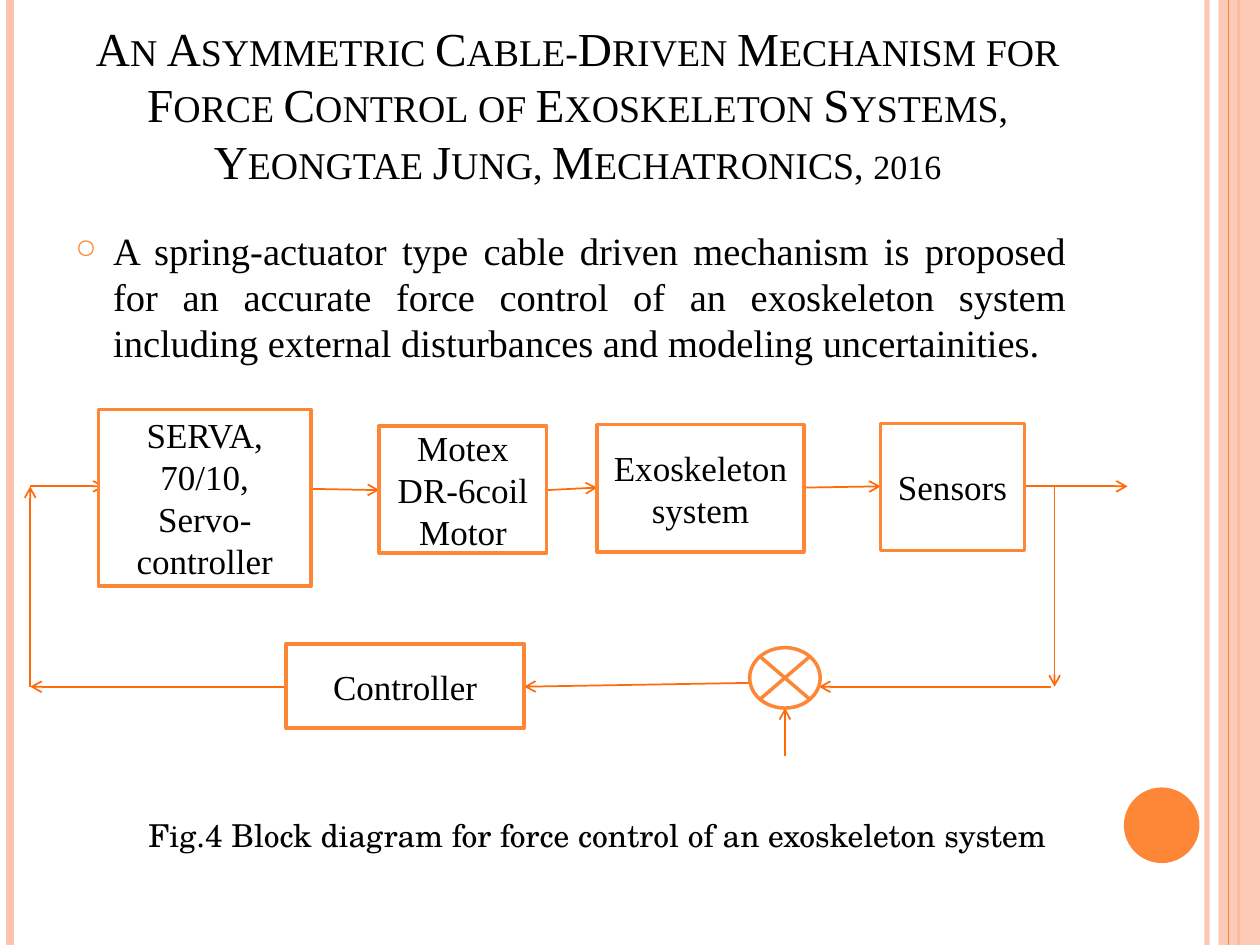
from lxml import etree
from pptx import Presentation
from pptx.dml.color import RGBColor
from pptx.enum.shapes import MSO_CONNECTOR, MSO_SHAPE
from pptx.enum.text import MSO_ANCHOR, PP_ALIGN
from pptx.oxml.ns import qn
from pptx.util import Inches, Pt

STRAIGHT = MSO_CONNECTOR.STRAIGHT
RECTANGLE, OVAL = MSO_SHAPE.RECTANGLE, MSO_SHAPE.OVAL
JUNCTION = MSO_SHAPE.FLOWCHART_SUMMING_JUNCTION
LEFT, CENTER, JUSTIFY = PP_ALIGN.LEFT, PP_ALIGN.CENTER, PP_ALIGN.JUSTIFY
TOP, MIDDLE, BOTTOM = MSO_ANCHOR.TOP, MSO_ANCHOR.MIDDLE, MSO_ANCHOR.BOTTOM

COLORS = {"accent": "FE8637", "arrow": "FF6B0A", "pale": "FEC3AE",
          "paper": "FFFFFF", "ink": "000000"}
SERIF, CAPTION_FONT = "Times New Roman", "TeX Gyre Schola"
SLIDE_WIDTH, SLIDE_HEIGHT = 10, 7.5

TITLE = ("An Asymmetric Cable-Driven Mechanism for Force Control of "
         "Exoskeleton Systems, Yeongtae Jung, Mechatronics, ")
YEAR = "2016"
SUMMARY = ("A spring-actuator type cable driven mechanism is proposed for an "
           "accurate force control of an exoskeleton system including external "
           "disturbances and modeling uncertainities.")
CAPTION = "Fig.4 Block diagram for force control of an exoskeleton system"

# x, width in points, colour, opacity in percent
STRIPES_BELOW_BAND = [(0.08, 4.5, "pale", 100), (9.58, 3, "pale", 93),
                      (9.83, 1.5, "accent", 100)]
STRIPES_ABOVE_BAND = [(9.75, 0.75, "accent", 100)]

# left, top, width, height, paragraphs
BLOCKS = [
    (0.78, 3.25, 1.69, 1.40, ["SERVA,", "70/10, Servo-controller"]),
    (3.01, 3.38, 1.33, 1.01, ["Motex", "DR-6coil Motor"]),
    (4.74, 3.37, 1.64, 1.01, ["Exoskeleton", "system"]),
    (6.99, 3.36, 1.14, 1.01, ["Sensors"]),
    (2.27, 5.11, 1.89, 0.67, ["Controller"]),
]
SUM_POINT = (5.95, 5.14, 0.56, 0.48)

FORWARD_Y, FEEDBACK_Y = 3.86, 5.45
LOOP_LEFT, LOOP_RIGHT = 0.24, 8.37
ARROWS = [  # start x, start y, end x, end y
    (LOOP_LEFT, FORWARD_Y, 0.83, FORWARD_Y),
    (2.47, 3.88, 3.01, 3.89),
    (4.34, 3.89, 4.74, 3.87),
    (6.38, 3.87, 6.99, FORWARD_Y),
    (8.14, FORWARD_Y, 8.95, FORWARD_Y),
    (LOOP_RIGHT, FORWARD_Y, LOOP_RIGHT, FEEDBACK_Y),
    (8.34, FEEDBACK_Y, 6.50, FEEDBACK_Y),
    (5.95, 5.42, 4.16, FEEDBACK_Y),
    (2.27, FEEDBACK_Y, LOOP_LEFT, FEEDBACK_Y),
    (LOOP_LEFT, FEEDBACK_Y, LOOP_LEFT, FORWARD_Y),
    (6.23, 6.00, 6.23, 5.62),
]


def color(name):
    return RGBColor.from_string(COLORS[name])


def set_opacity(shape, percent):
    for tint in shape._element.spPr.iter(qn("a:srgbClr")):
        etree.SubElement(tint, qn("a:alpha"), val=str(percent * 1000))


def add_line(slide, ends, width, color_name):
    line = slide.shapes.add_connector(STRAIGHT, *map(Inches, ends))
    line.line.color.rgb = color(color_name)
    line.line.width = Pt(width)
    etree.SubElement(line._element.spPr, qn("a:effectLst"))
    return line


def add_arrow(slide, ends):
    arrow = add_line(slide, ends, 1, "arrow")
    etree.SubElement(arrow.line._get_or_add_ln(), qn("a:tailEnd"), type="arrow")


def add_figure(slide, kind, place, fill, outline=None):
    figure = slide.shapes.add_shape(kind, *map(Inches, place))
    figure.shadow.inherit = False
    figure.fill.solid()
    figure.fill.fore_color.rgb = color(fill)
    if outline:
        figure.line.color.rgb = color(outline)
        figure.line.width = Pt(2)
    else:
        figure.line.fill.background()
    return figure


def style_font(font, size, name):
    font.size, font.name = Pt(size), name
    font.color.rgb = color("ink")


def write(box, texts, size, align, anchor, font=SERIF):
    frame = box.text_frame
    frame.word_wrap = True
    frame.vertical_anchor = anchor
    frame.text = "\n".join(texts)
    for para in frame.paragraphs:
        para.alignment = align
        style_font(para.font, size, font)
    return frame.paragraphs[0]


def add_text(slide, place, *style):
    return write(slide.shapes.add_textbox(*map(Inches, place)), *style)


def add_bullet(para):
    props = para._p.get_or_add_pPr()
    props.set("marL", str(Inches(0.3)))
    props.set("indent", str(Inches(-0.3)))
    tint = etree.Element(qn("a:buClr"))
    etree.SubElement(tint, qn("a:srgbClr"), val=COLORS["accent"])
    size = etree.Element(qn("a:buSzPct"), val="70000")
    mark = etree.Element(qn("a:buChar"), char="○")
    for place, part in enumerate((tint, size, mark)):
        props.insert(place, part)


def add_title(slide):
    para = add_text(slide, (0.5, 0.3, 8.17, 1.25), [TITLE], 27, CENTER, BOTTOM)
    year = para.add_run()
    year.text = YEAR
    style_font(year.font, 24.3, SERIF)
    for span in para.runs:
        span._r.get_or_add_rPr().set("cap", "small")


def add_stripes(slide, stripes):
    for x, width, name, opacity in stripes:
        stripe = add_line(slide, (x, 0, x, SLIDE_HEIGHT), width, name)
        if opacity < 100:
            set_opacity(stripe, opacity)


def add_frame(slide):
    add_stripes(slide, STRIPES_BELOW_BAND)
    band = add_figure(slide, RECTANGLE, (9.67, 0, 0.33, SLIDE_HEIGHT), "pale")
    set_opacity(band, 87)
    add_stripes(slide, STRIPES_ABOVE_BAND)
    add_figure(slide, OVAL, (8.92, 6.25, 0.6, 0.6), "accent")


def add_diagram(slide):
    for ends in ARROWS:
        add_arrow(slide, ends)
    for *place, texts in BLOCKS:
        block = add_figure(slide, RECTANGLE, place, "paper", "accent")
        write(block, texts, 20, CENTER, MIDDLE)
    add_figure(slide, JUNCTION, SUM_POINT, "paper", "accent")


def main():
    deck = Presentation()
    deck.slide_width, deck.slide_height = Inches(SLIDE_WIDTH), Inches(SLIDE_HEIGHT)
    slide = deck.slides.add_slide(deck.slide_layouts[6])
    add_frame(slide)
    add_title(slide)
    add_bullet(add_text(slide, (0.5, 1.75, 8.06, 5.33), [SUMMARY], 22, JUSTIFY, TOP))
    add_diagram(slide)
    add_text(slide, (1.08, 6.43, 7.82, 0.4), [CAPTION], 18, LEFT, TOP, CAPTION_FONT)
    deck.save("out.pptx")


if __name__ == "__main__":
    main()
